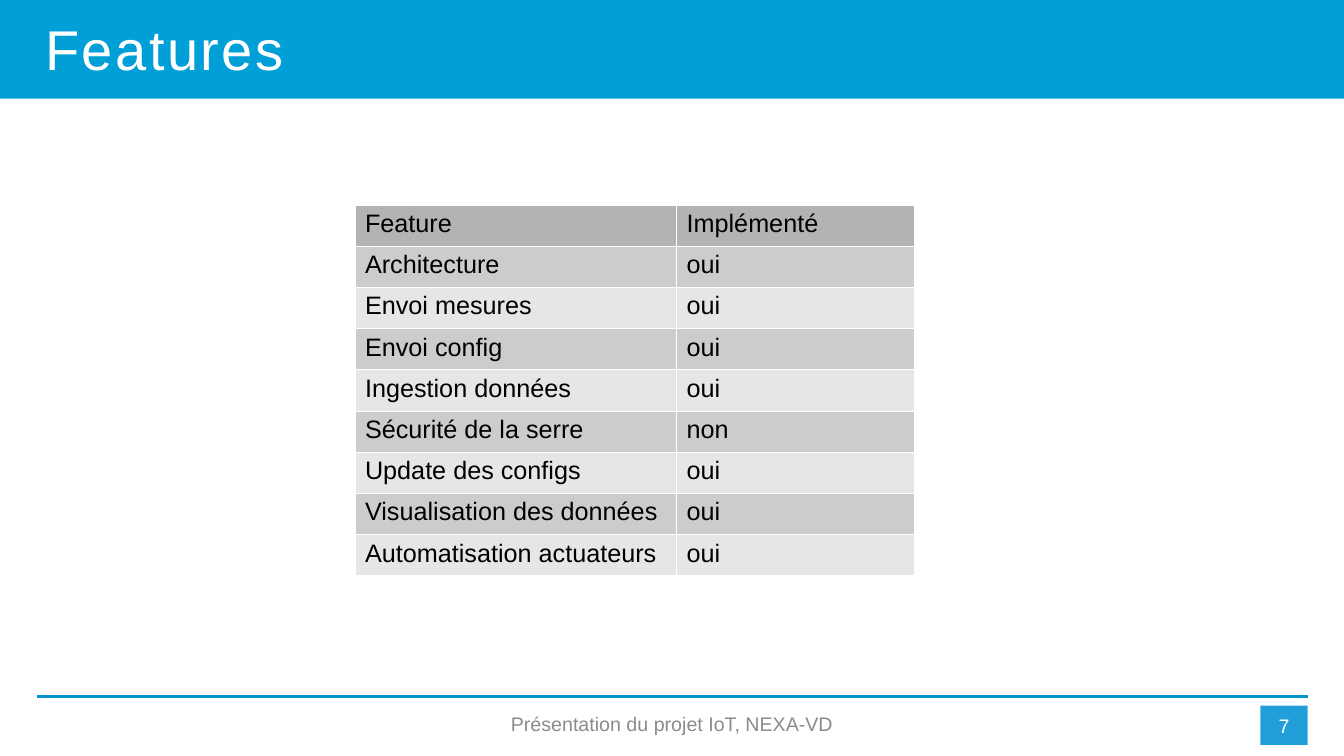
from dataclasses import dataclass

from lxml import etree
from pptx import Presentation
from pptx import util as u
from pptx.dml.color import RGBColor
from pptx.enum import shapes, text
from pptx.oxml import ns

WIDTH, HEIGHT = u.Inches(13.33), u.Inches(7.5)
FONT = "Arial"
COLORS = {
    "banner": "009FD8",
    "rule": "0097CE",
    "page": "229FD8",
    "white": "FFFFFF",
    "black": "000000",
    "footer": "8B8B8B",
    "header row": "B3B3B3",
    "odd row": "CCCCCC",
    "even row": "E6E6E6",
}
FEATURES = [
    ("Feature", "Implémenté"),
    ("Architecture", "oui"),
    ("Envoi mesures", "oui"),
    ("Envoi config", "oui"),
    ("Ingestion données", "oui"),
    ("Sécurité de la serre", "non"),
    ("Update des configs", "oui"),
    ("Visualisation des données", "oui"),
    ("Automatisation actuateurs", "oui"),
]
TABLE_LEFT, TABLE_TOP = 26.41, 27.07
COLUMN_WIDTHS = (23.93, 17.7)
ROW_HEIGHT = 5.45
BORDER_WIDTH = u.Pt(0.06)


@dataclass(frozen=True)
class Area:
    """Lengths in percent of the slide's width and height."""
    left: float
    top: float
    width: float
    height: float

    def box(self) -> tuple[int, int, int, int]:
        return across(self.left), down(self.top), across(self.width), down(self.height)


@dataclass(frozen=True)
class Label:
    words: str
    area: Area
    size: int
    color: str
    fill: str = ""
    centered: bool = True
    spacing: float = 0


BANNER = Area(0, 0, 100, 13.07)
LABELS = [
    Label("Features", Area(2.63, 1.33, 94.6, 10.13), 40, "white",
          centered=False, spacing=1.8),
    Label("Présentation du projet IoT, NEXA-VD", Area(25.81, 93.33, 48.39, 4.67),
          14, "footer"),
    Label("7", Area(93.77, 93.33, 3.53, 5.2), 14, "white", fill="page"),
]


def across(percent: float) -> int:
    return round(WIDTH * percent / 100)


def down(percent: float) -> int:
    return round(HEIGHT * percent / 100)


def rgb(name: str) -> RGBColor:
    return RGBColor.from_string(COLORS[name])


def write(paragraph, words: str, size: int, color: str):
    run = paragraph.add_run()
    run.text = words
    paragraph.font.name = FONT
    paragraph.font.size = u.Pt(size)
    paragraph.font.color.rgb = rgb(color)
    return run


def add_block(slide, area: Area, fill: str):
    block = slide.shapes.add_shape(shapes.MSO_SHAPE.RECTANGLE, *area.box())
    block.shadow.inherit = False
    block.fill.solid()
    block.fill.fore_color.rgb = rgb(fill)
    block.line.fill.background()
    return block


def add_label(slide, label: Label) -> None:
    if label.fill:
        holder = add_block(slide, label.area, label.fill)
    else:
        holder = slide.shapes.add_textbox(*label.area.box())
    frame = holder.text_frame
    frame.word_wrap = True
    paragraph = frame.paragraphs[0]
    paragraph.alignment = text.PP_ALIGN.LEFT
    frame.vertical_anchor = text.MSO_ANCHOR.TOP
    if label.centered:
        paragraph.alignment = text.PP_ALIGN.CENTER
        frame.vertical_anchor = text.MSO_ANCHOR.MIDDLE
    run = write(paragraph, label.words, label.size, label.color)
    if label.spacing:
        run._r.get_or_add_rPr().set("spc", str(round(label.spacing * 100)))


def add_footer_rule(slide) -> None:
    height = down(92.13)
    rule = slide.shapes.add_connector(
        shapes.MSO_CONNECTOR.STRAIGHT, across(2.78), height, across(97.3), height)
    rule.line.color.rgb = rgb("rule")
    rule.line.width = u.Pt(2.25)
    etree.SubElement(rule._element.spPr, ns.qn("a:effectLst"))


def add_borders(cell) -> None:
    properties = cell._tc.get_or_add_tcPr()
    for position, side in enumerate(("lnL", "lnR", "lnT", "lnB")):
        border = etree.Element(ns.qn(f"a:{side}"), w=str(int(BORDER_WIDTH)))
        fill = etree.SubElement(border, ns.qn("a:solidFill"))
        etree.SubElement(fill, ns.qn("a:srgbClr"), val=COLORS["white"])
        properties.insert(position, border)


def row_color(index: int) -> str:
    if index == 0:
        return "header row"
    return "odd row" if index % 2 else "even row"


def add_feature_table(slide) -> None:
    area = Area(TABLE_LEFT, TABLE_TOP, sum(COLUMN_WIDTHS), ROW_HEIGHT * len(FEATURES))
    table = slide.shapes.add_table(
        len(FEATURES), len(COLUMN_WIDTHS), *area.box()).table
    table.first_row = table.horz_banding = False
    for column, width in zip(table.columns, COLUMN_WIDTHS):
        column.width = across(width)
    for index, feature in enumerate(FEATURES):
        table.rows[index].height = down(ROW_HEIGHT)
        for cell, words in zip(table.rows[index].cells, feature):
            cell.fill.solid()
            cell.fill.fore_color.rgb = rgb(row_color(index))
            add_borders(cell)
            write(cell.text_frame.paragraphs[0], words, 18, "black")


def main() -> None:
    deck = Presentation()
    deck.slide_width, deck.slide_height = WIDTH, HEIGHT
    slide = deck.slides.add_slide(deck.slide_layouts[6])
    add_block(slide, BANNER, "banner")
    add_footer_rule(slide)
    for label in LABELS:
        add_label(slide, label)
    add_feature_table(slide)
    deck.save("out.pptx")


if __name__ == "__main__":
    main()
